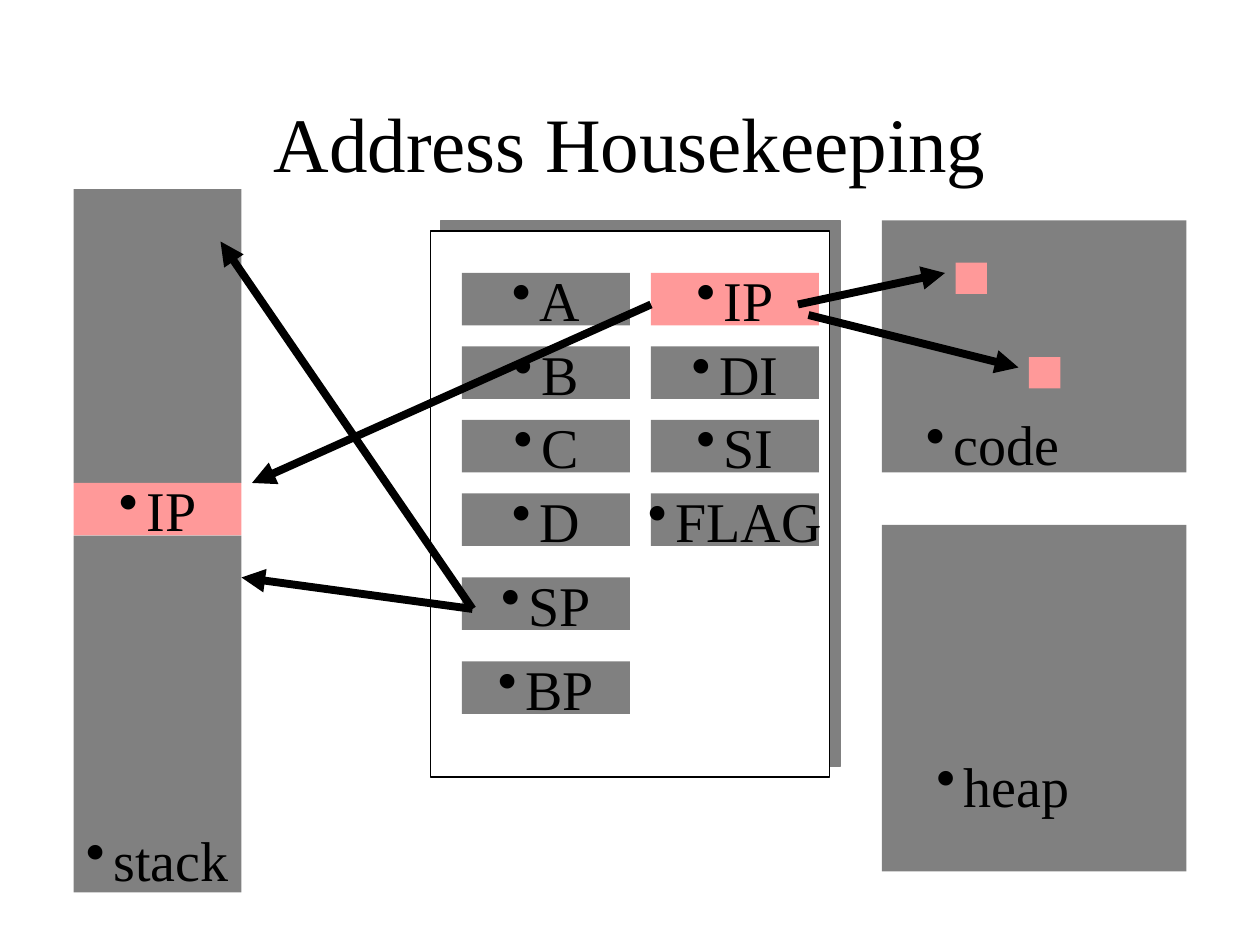
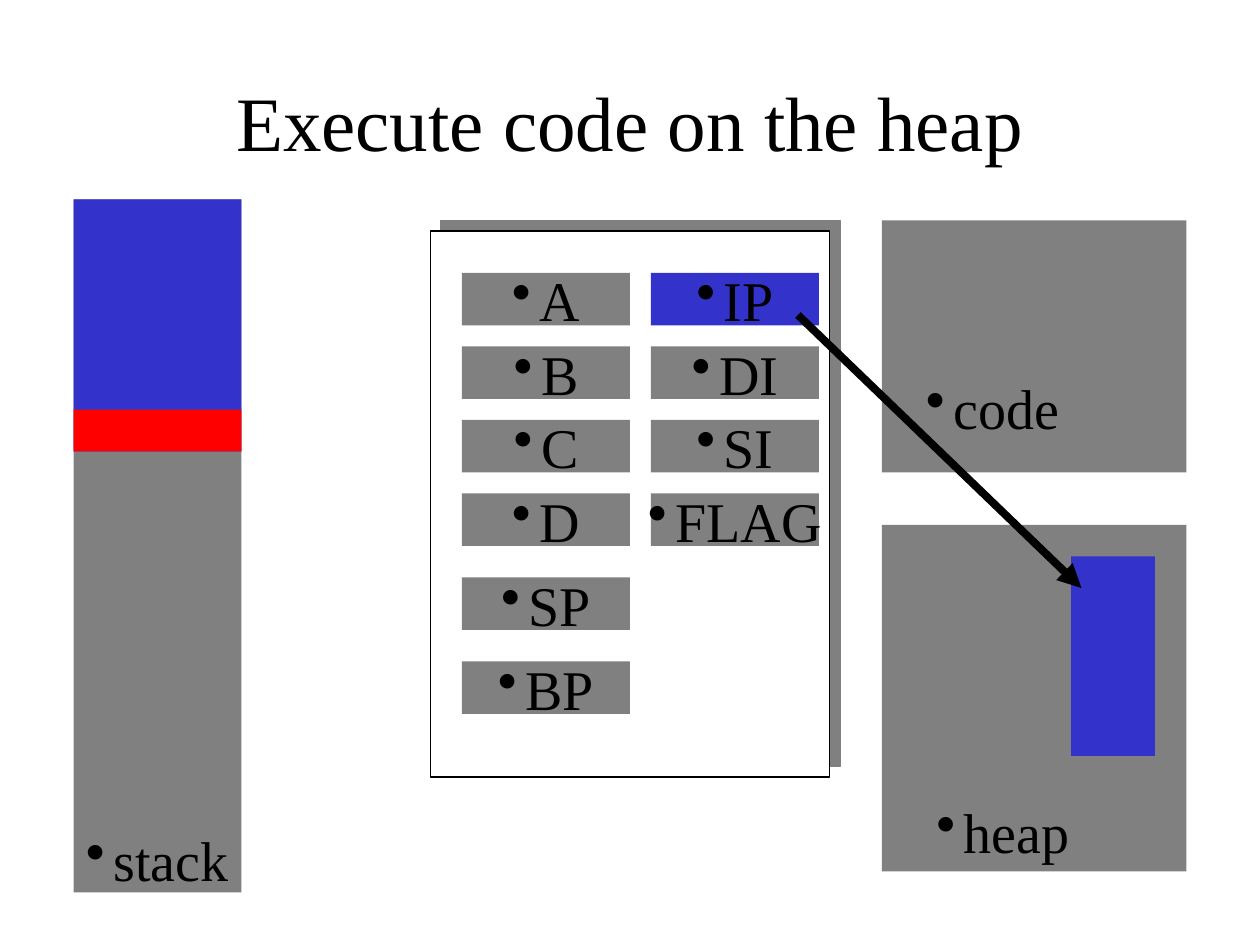
"""Build two slides on how registers address the stack, code and heap."""
from dataclasses import dataclass

import lxml.etree
import pptx
import pptx.dml.color
import pptx.enum.shapes
import pptx.enum.text
import pptx.oxml
import pptx.oxml.ns
import pptx.slide
import pptx.text.text
import pptx.util

EMU_PER_PX = 9525


@dataclass(frozen=True)
class Theme:
    """Colours, font and sizes shared by both slides."""

    memory: str = "808080"
    paper: str = "FFFFFF"
    ink: str = "000000"
    pink: str = "FF9999"
    blue: str = "3333CC"
    red: str = "FF0000"
    font: str = "Times New Roman"
    title_size: int = 44
    label_size: int = 32
    outline_width: float = 0.75
    arrow_width: float = 4.5
    bullet_hang: int = 21


THEME = Theme()


@dataclass(frozen=True)
class Block:
    """A filled rectangle with an optional bulleted label."""

    left: int
    top: int
    width: int
    height: int
    fill: str = THEME.memory
    label: str = ""


@dataclass(frozen=True)
class Caption:
    """A bulleted text box naming a memory area."""

    text: str
    left: int
    top: int
    width: int
    height: int = 61


@dataclass(frozen=True)
class Arrow:
    """A straight arrow between two points."""

    start_x: int
    start_y: int
    end_x: int
    end_y: int


STACK_LEFT, STACK_WIDTH = 56, 128
REGISTER_WIDTH, REGISTER_HEIGHT = 128, 40
REGISTER_TOP, REGISTER_STEP = 208, 56
LEFT_COLUMN, RIGHT_COLUMN = 352, 496
PROCESSOR = Block(328, 176, 304, 416, THEME.paper)
CODE_AREA = Block(672, 168, 232, 192)
HEAP_AREA = Block(672, 400, 232, 264)


def px(length: int) -> pptx.util.Emu:
    """Turn px into EMU."""
    return pptx.util.Emu(length * EMU_PER_PX)


def rgb(color: str) -> pptx.dml.color.RGBColor:
    """Turn a hex string into a colour."""
    return pptx.dml.color.RGBColor.from_string(color)


def write(frame: pptx.text.text.TextFrame, text: str, size: int, centered: bool, bulleted: bool) -> None:
    """Fill a text frame with one styled paragraph."""
    paragraph = frame.paragraphs[0]
    paragraph.text = text
    paragraph.alignment = pptx.enum.text.PP_ALIGN.CENTER if centered else pptx.enum.text.PP_ALIGN.LEFT
    if bulleted:
        properties = paragraph._p.get_or_add_pPr()
        properties.set("marL", str(px(THEME.bullet_hang)))
        properties.set("indent", str(-px(THEME.bullet_hang)))
        bullet = lxml.etree.SubElement(properties, pptx.oxml.ns.qn("a:buChar"))
        bullet.set("char", "•")
    paragraph.font.name = THEME.font
    paragraph.font.size = pptx.util.Pt(size)
    paragraph.font.color.rgb = rgb(THEME.ink)


def add_title(slide: pptx.slide.Slide, text: str, top: int) -> None:
    """Add the centred slide title."""
    frame = slide.shapes.add_textbox(px(72), px(top), px(816), px(120)).text_frame
    frame.word_wrap = True
    frame.vertical_anchor = pptx.enum.text.MSO_ANCHOR.MIDDLE
    write(frame, text, THEME.title_size, centered=True, bulleted=False)


def add_block(slide: pptx.slide.Slide, block: Block):
    """Add a borderless rectangle and return it."""
    shape = slide.shapes.add_shape(
        pptx.enum.shapes.MSO_SHAPE.RECTANGLE,
        px(block.left), px(block.top), px(block.width), px(block.height))
    shape.shadow.inherit = False
    shape.fill.solid()
    shape.fill.fore_color.rgb = rgb(block.fill)
    shape.line.fill.background()
    if block.label:
        frame = shape.text_frame
        frame.word_wrap = False
        frame.vertical_anchor = pptx.enum.text.MSO_ANCHOR.MIDDLE
        write(frame, block.label, THEME.label_size, centered=True, bulleted=True)
    return shape


def add_processor(slide: pptx.slide.Slide) -> None:
    """Add the outlined register panel with its hard shadow."""
    panel = add_block(slide, PROCESSOR)
    panel.line.color.rgb = rgb(THEME.ink)
    panel.line.width = pptx.util.Pt(THEME.outline_width)
    effects = panel._element.spPr.find(pptx.oxml.ns.qn("a:effectLst"))
    effects.append(pptx.oxml.parse_xml(
        f'<a:outerShdw {pptx.oxml.ns.nsdecls("a")} dist="{pptx.util.Pt(8.5)}" dir="18900000" '
        f'algn="ctr" rotWithShape="0"><a:srgbClr val="{THEME.memory}"/></a:outerShdw>'))


def add_registers(slide: pptx.slide.Slide, pointer_fill: str) -> None:
    """Add both register columns, marking the instruction pointer."""
    for left, names in ((LEFT_COLUMN, "ABCD"), (RIGHT_COLUMN, ("IP", "DI", "SI", "FLAG"))):
        for row, name in enumerate(names):
            fill = pointer_fill if name == "IP" else THEME.memory
            top = REGISTER_TOP + row * REGISTER_STEP
            add_block(slide, Block(left, top, REGISTER_WIDTH, REGISTER_HEIGHT, fill, name))
    for name, top in (("SP", 440), ("BP", 504)):
        add_block(slide, Block(LEFT_COLUMN, top, REGISTER_WIDTH, REGISTER_HEIGHT, label=name))


def add_caption(slide: pptx.slide.Slide, caption: Caption) -> None:
    """Add the name of a memory area."""
    frame = slide.shapes.add_textbox(
        px(caption.left), px(caption.top), px(caption.width), px(caption.height)).text_frame
    frame.word_wrap = True
    frame.auto_size = pptx.enum.text.MSO_AUTO_SIZE.SHAPE_TO_FIT_TEXT
    write(frame, caption.text, THEME.label_size, centered=False, bulleted=True)


def add_arrow(slide: pptx.slide.Slide, arrow: Arrow) -> None:
    """Add a thick arrow with a triangular head."""
    connector = slide.shapes.add_connector(
        pptx.enum.shapes.MSO_CONNECTOR.STRAIGHT,
        px(arrow.start_x), px(arrow.start_y), px(arrow.end_x), px(arrow.end_y))
    connector.line.color.rgb = rgb(THEME.ink)
    connector.line.width = pptx.util.Pt(THEME.arrow_width)
    head = lxml.etree.SubElement(connector.line._get_or_add_ln(), pptx.oxml.ns.qn("a:tailEnd"))
    head.set("type", "triangle")
    lxml.etree.SubElement(connector._element.spPr, pptx.oxml.ns.qn("a:effectLst"))


def stack_block(top: int, height: int, fill: str = THEME.memory, label: str = "") -> Block:
    """Describe a segment of the stack column."""
    return Block(STACK_LEFT, top, STACK_WIDTH, height, fill, label)


def add_memory_slide(
    presentation, title: str, title_top: int, pointer_fill: str, code_top: int, heap_top: int,
    stack: list[Block], marks: list[Block], arrows: list[Arrow],
) -> None:
    """Add a slide with the registers, memory areas, marks and arrows."""
    slide = presentation.slides.add_slide(presentation.slide_layouts[6])
    add_title(slide, title, title_top)
    for block in stack:
        add_block(slide, block)
    add_processor(slide)
    for area in (CODE_AREA, HEAP_AREA):
        add_block(slide, area)
    add_registers(slide, pointer_fill)
    for caption in (
        Caption("code", 696, code_top, 168),
        Caption("heap", 704, heap_top, 184),
        Caption("stack", STACK_LEFT, 624, 136),
    ):
        add_caption(slide, caption)
    for mark in marks:
        add_block(slide, mark)
    for arrow in arrows:
        add_arrow(slide, arrow)


def main() -> None:
    """Build and save the presentation."""
    presentation = pptx.Presentation()
    presentation.slide_width, presentation.slide_height = px(960), px(720)
    add_memory_slide(
        presentation, "Address Housekeeping", 48, THEME.pink, code_top=307, heap_top=568,
        stack=[stack_block(144, 224), stack_block(368, 40, THEME.pink, "IP"), stack_block(408, 272)],
        marks=[Block(728, 200, 24, 24, THEME.pink), Block(784, 272, 24, 24, THEME.pink)],
        arrows=[
            Arrow(608, 232, 720, 208),
            Arrow(616, 240, 776, 280),
            Arrow(496, 232, 192, 368),
            Arrow(360, 464, 184, 440),
            Arrow(360, 464, 168, 184),
        ],
    )
    add_memory_slide(
        presentation, "Execute code on the heap", 32, THEME.blue, code_top=280, heap_top=603,
        stack=[stack_block(152, 528), stack_block(152, 192, THEME.blue), stack_block(312, 32, THEME.red)],
        marks=[Block(816, 424, 64, 152, THEME.blue)],
        arrows=[Arrow(608, 240, 824, 448)],
    )
    presentation.save("out.pptx")


if __name__ == "__main__":
    main()
